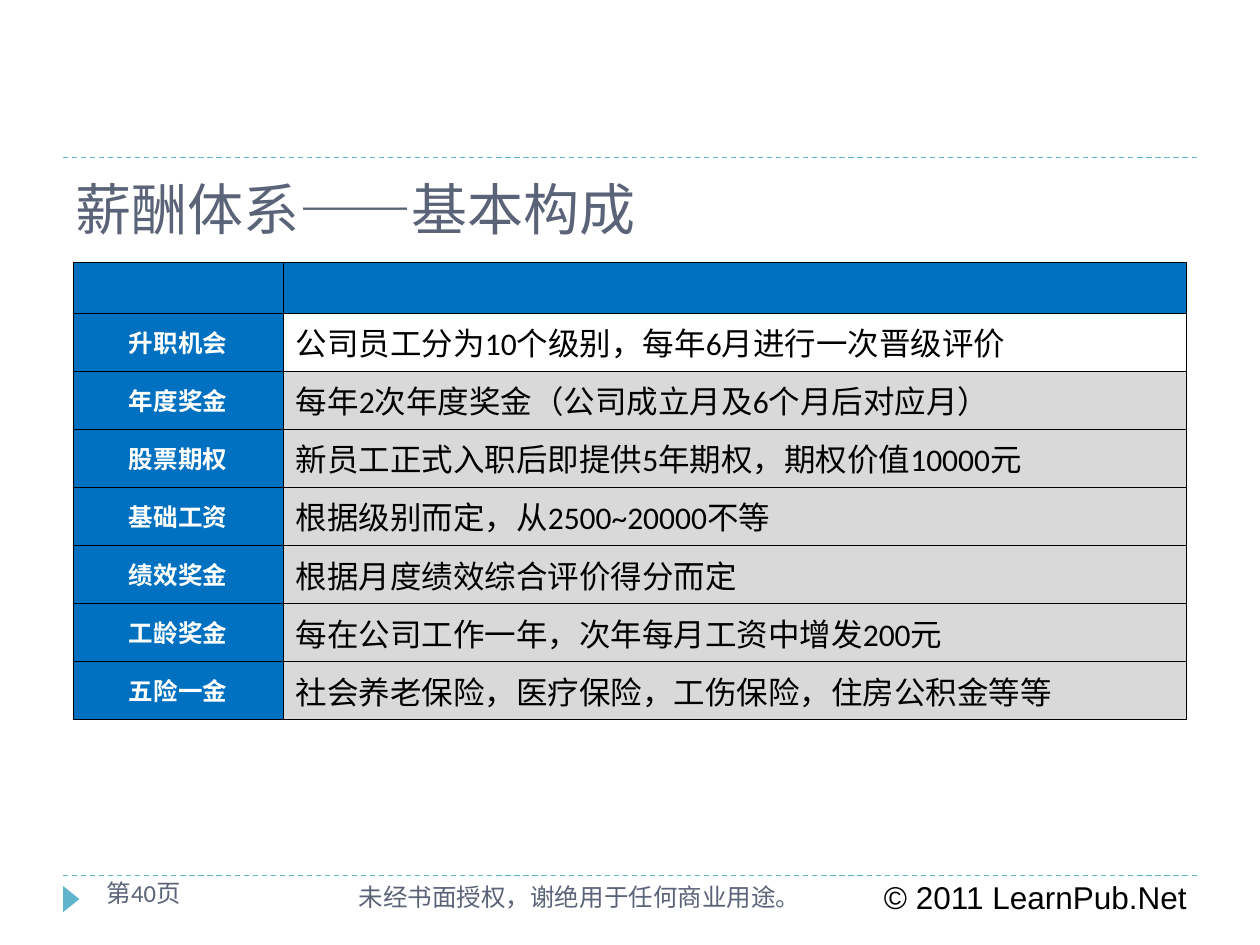
from typing import NamedTuple

from lxml import etree
from pptx import Presentation
from pptx.dml.color import RGBColor
from pptx.enum.dml import MSO_LINE
from pptx.enum.shapes import MSO_CONNECTOR, MSO_SHAPE
from pptx.enum.text import MSO_ANCHOR, MSO_AUTO_SIZE, PP_ALIGN
from pptx.oxml.ns import qn
from pptx.util import Cm, Pt

DASH = MSO_LINE.DASH
STRAIGHT = MSO_CONNECTOR.STRAIGHT
TRIANGLE = MSO_SHAPE.ISOSCELES_TRIANGLE
MIDDLE, TOP = MSO_ANCHOR.MIDDLE, MSO_ANCHOR.TOP
FIXED = MSO_AUTO_SIZE.NONE
LEFT, CENTER = PP_ALIGN.LEFT, PP_ALIGN.CENTER

TEAL = RGBColor(0x60, 0xB5, 0xCC)
SLATE = RGBColor(0x5A, 0x63, 0x78)
BLUE = RGBColor(0x00, 0x70, 0xC0)
GREY = RGBColor(0xD9, 0xD9, 0xD9)
BLACK = RGBColor(0x00, 0x00, 0x00)
WHITE = RGBColor(0xFF, 0xFF, 0xFF)


class Item(NamedTuple):
    name: str
    detail: str


class Note(NamedTuple):
    text: str
    left: float
    top: float
    width: float
    size: int
    font: str
    color: RGBColor


ITEMS = [
    Item("升职机会", "公司员工分为10个级别，每年6月进行一次晋级评价"),
    Item("年度奖金", "每年2次年度奖金（公司成立月及6个月后对应月）"),
    Item("股票期权", "新员工正式入职后即提供5年期权，期权价值10000元"),
    Item("基础工资", "根据级别而定，从2500~20000不等"),
    Item("绩效奖金", "根据月度绩效综合评价得分而定"),
    Item("工龄奖金", "每在公司工作一年，次年每月工资中增发200元"),
    Item("五险一金", "社会养老保险，医疗保险，工伤保险，住房公积金等等"),
]
NOTES = [
    Note("© 2011 LearnPub.Net", 17.57, 17.58, 6.78, 18, "Arial", BLACK),
    Note("未经书面授权，谢绝用于任何商业用途。", 6.98, 17.65, 10.16, 14, "Calibri", SLATE),
    Note("第40页", 1.9, 17.58, 4.22, 14, "Calibri", SLATE),
]
RULES = [3.18, 17.65]
COLS = [4.24, 18.2]
HEAD, ROW = 1.02, 1.17


def put_text(frame, text: str, *, size: int, color: RGBColor, font: str = "Calibri",
             bold: bool = False, align=LEFT) -> None:
    par = frame.paragraphs[0]
    par.alignment = align
    run = par.add_run()
    run.text = text
    run.font.name = font
    run.font.size = Pt(size)
    run.font.bold = bold
    run.font.color.rgb = color


def add_rule(slide, top: float) -> None:
    """Draw a dashed line across the slide."""
    line = slide.shapes.add_connector(STRAIGHT, Cm(1.27), Cm(top), Cm(24.13), Cm(top))
    line.line.color.rgb = TEAL
    line.line.width = Pt(0.75)
    line.line.dash_style = DASH
    etree.SubElement(line.element.spPr, qn("a:effectLst"))


def add_marker(slide) -> None:
    """Draw the small arrow beside the page number."""
    mark = slide.shapes.add_shape(TRIANGLE, Cm(1.17), Cm(17.96), Cm(0.53), Cm(0.33))
    mark.rotation = 90
    mark.shadow.inherit = False
    mark.fill.solid()
    mark.fill.fore_color.rgb = TEAL
    mark.line.fill.background()


def add_note(slide, note: Note) -> None:
    box = slide.shapes.add_textbox(Cm(note.left), Cm(note.top), Cm(note.width), Cm(1.02))
    frame = box.text_frame
    frame.word_wrap = True
    frame.vertical_anchor = TOP
    put_text(frame, note.text, size=note.size, color=note.color, font=note.font)


def set_title(slide, text: str) -> None:
    title = slide.shapes.title
    title.left, title.top = Cm(1.27), Cm(3.34)
    title.width, title.height = Cm(22.86), Cm(1.7)
    frame = title.text_frame
    frame.auto_size = FIXED
    frame.vertical_anchor = MIDDLE
    put_text(frame, text, size=32, color=SLATE, font="Roboto Slab")


def style_cell(cell, fill: RGBColor | None) -> None:
    """Give a cell thin black borders and its fill."""
    props = cell._tc.get_or_add_tcPr()
    for side in ("lnL", "lnR", "lnT", "lnB"):
        edge = etree.SubElement(props, qn(f"a:{side}"), w=str(Pt(0.45)))
        solid = etree.SubElement(edge, qn("a:solidFill"))
        etree.SubElement(solid, qn("a:srgbClr"), val=str(BLACK))
    if fill is None:
        cell.fill.background()
    else:
        cell.fill.solid()
        cell.fill.fore_color.rgb = fill
    cell.vertical_anchor = MIDDLE


def add_grid(slide, items: list[Item]) -> None:
    grid = slide.shapes.add_table(len(items) + 1, len(COLS), Cm(1.47), Cm(5.29),
                                  Cm(sum(COLS)), Cm(HEAD + ROW * len(items))).table
    grid.first_row = grid.horz_banding = False
    for col, width in zip(grid.columns, COLS):
        col.width = Cm(width)
    grid.rows[0].height = Cm(HEAD)
    for cell in grid.rows[0].cells:
        style_cell(cell, BLUE)
    for num, item in enumerate(items, 1):
        grid.rows[num].height = Cm(ROW)
        head, body = grid.rows[num].cells
        style_cell(head, BLUE)
        style_cell(body, None if num == 1 else GREY)
        put_text(head.text_frame, item.name, size=14, color=WHITE, bold=True, align=CENTER)
        put_text(body.text_frame, item.detail, size=18, color=BLACK)


def main() -> None:
    deck = Presentation()
    deck.slide_width, deck.slide_height = Cm(25.4), Cm(19.05)
    slide = deck.slides.add_slide(deck.slide_layouts.get_by_name("Title Only"))
    for top in RULES:
        add_rule(slide, top)
    add_marker(slide)
    for note in NOTES:
        add_note(slide, note)
    set_title(slide, "薪酬体系——基本构成")
    add_grid(slide, ITEMS)
    deck.save("out.pptx")


if __name__ == "__main__":
    main()
